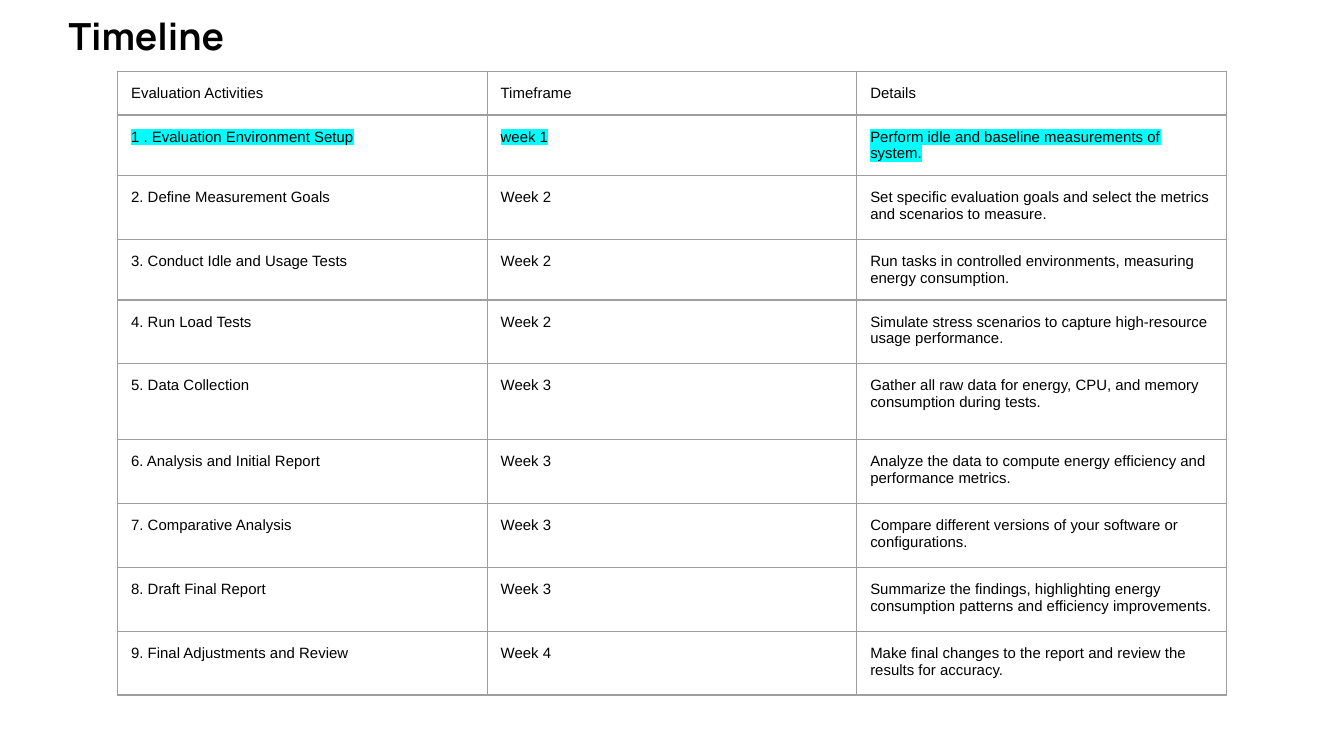
from typing import NamedTuple

from lxml.etree import SubElement
from pptx import Presentation
from pptx.dml.color import RGBColor
from pptx.enum.text import MSO_ANCHOR, MSO_AUTO_SIZE, PP_ALIGN
from pptx.oxml.ns import qn
from pptx.util import Emu, Pt

BLACK = RGBColor(0x00, 0x00, 0x00)
GRID_GREY = RGBColor(0x9E, 0x9E, 0x9E)
CYAN = RGBColor(0x00, 0xFF, 0xFF)

EMU_PER_PX = 4572  # 200 px to the inch
INSET = 20
COLUMN_WIDTH = 550


def px(length: int) -> Emu:
    return Emu(length * EMU_PER_PX)


class Activity(NamedTuple):
    name: str
    timeframe: str
    details: str
    height: int = 95
    highlighted: bool = False


ACTIVITIES = [
    Activity("Evaluation Activities", "Timeframe", "Details", 62),
    Activity("1 . Evaluation Environment Setup", "week 1",
             "Perform idle and baseline measurements of system.", 88, True),
    Activity("2. Define Measurement Goals", "Week 2",
             "Set specific evaluation goals and select the metrics and scenarios to measure."),
    Activity("3. Conduct Idle and Usage Tests", "Week 2",
             "Run tasks in controlled environments, measuring energy consumption.", 88),
    Activity("4. Run Load Tests", "Week 2",
             "Simulate stress scenarios to capture high-resource usage performance."),
    Activity("5. Data Collection", "Week 3",
             "Gather all raw data for energy, CPU, and memory consumption during tests.", 113),
    Activity("6. Analysis and Initial Report", "Week 3",
             "Analyze the data to compute energy efficiency and performance metrics."),
    Activity("7. Comparative Analysis", "Week 3",
             "Compare different versions of your software or configurations."),
    Activity("8. Draft Final Report", "Week 3",
             "Summarize the findings, highlighting energy consumption patterns "
             "and efficiency improvements."),
    Activity("9. Final Adjustments and Review", "Week 4",
             "Make final changes to the report and review the results for accuracy."),
]


def set_insets(box) -> None:
    """Give a text frame or a table cell the same inset on every side."""
    box.margin_left = box.margin_right = px(INSET)
    box.margin_top = box.margin_bottom = px(INSET)


def style_run(run, font_name: str, size: int, bold: bool = False) -> None:
    run.font.name = font_name
    run.font.size = Pt(size)
    run.font.bold = bold
    run.font.color.rgb = BLACK


def highlight(run, color: RGBColor) -> None:
    marker = SubElement(run.font._element, qn("a:highlight"))
    SubElement(marker, qn("a:srgbClr"), val=str(color))
    run.font._element.find(qn("a:solidFill")).addnext(marker)


def add_borders(cell) -> None:
    """Draw all four borders; they must precede the fill in the cell properties."""
    properties = cell._tc.get_or_add_tcPr()
    for position, side in enumerate(("lnL", "lnR", "lnT", "lnB")):
        border = SubElement(properties, qn(f"a:{side}"), w=str(Pt(0.75)))
        fill = SubElement(border, qn("a:solidFill"))
        SubElement(fill, qn("a:srgbClr"), val=str(GRID_GREY))
        properties.insert(position, border)


def fill_cell(cell, text: str, highlighted: bool) -> None:
    cell.text_frame.text = text
    set_insets(cell)
    cell.vertical_anchor = MSO_ANCHOR.TOP
    cell.fill.background()
    add_borders(cell)
    run = cell.text_frame.paragraphs[0].runs[0]
    style_run(run, "Arial", 8)
    if highlighted:
        highlight(run, CYAN)


def set_title(title, text: str) -> None:
    title.left, title.top, title.width, title.height = px(82), px(0), px(1864), px(136)
    frame = title.text_frame
    frame.text = text
    frame.word_wrap = True
    frame.auto_size = MSO_AUTO_SIZE.NONE
    frame.vertical_anchor = MSO_ANCHOR.TOP
    set_insets(frame)
    heading = frame.paragraphs[0]
    heading.alignment = PP_ALIGN.LEFT
    style_run(heading.runs[0], "Manrope", 20, bold=True)


def add_timeline(slide, activities: list[Activity]) -> None:
    columns = 3
    total_height = sum(activity.height for activity in activities)
    timeline = slide.shapes.add_table(
        len(activities), columns, px(175), px(106),
        px(columns * COLUMN_WIDTH), px(total_height)).table
    timeline.first_row = timeline.horz_banding = False
    for row, activity in zip(timeline.rows, activities):
        row.height = px(activity.height)
        texts = (activity.name, activity.timeframe, activity.details)
        for cell, text in zip(row.cells, texts):
            fill_cell(cell, text, activity.highlighted)


def main() -> None:
    deck = Presentation()
    deck.slide_width, deck.slide_height = px(2000), px(1125)
    slide = deck.slides.add_slide(deck.slide_layouts[5])
    set_title(slide.shapes.title, "Timeline")
    add_timeline(slide, ACTIVITIES)
    deck.save("out.pptx")


if __name__ == "__main__":
    main()
